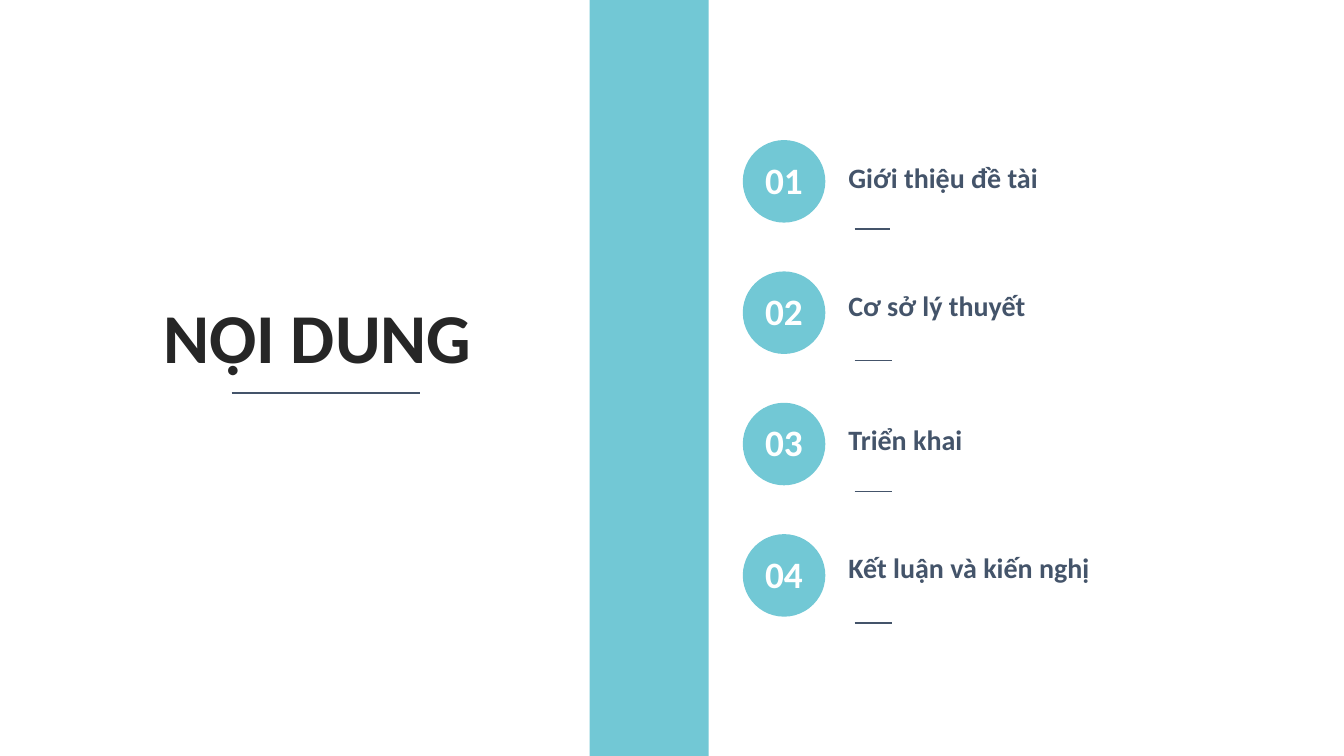
from pptx import Presentation
from pptx.dml.color import RGBColor
from pptx.enum.shapes import MSO_CONNECTOR, MSO_SHAPE
from pptx.enum.text import MSO_ANCHOR, PP_ALIGN
from pptx.oxml.ns import qn
from pptx.util import Cm, Pt
from lxml.etree import SubElement

COLORS = {"teal": "72C8D5", "slate": "44546A", "ink": "262626", "white": "FFFFFF"}
FONT = "Calibri"

# Section name, top of its label and length of its rule, in cm
SECTIONS = [
    ("Giới thiệu đề tài", 3.91, 0.89),
    ("Cơ sở lý thuyết", 7.14, 0.94),
    ("Triển khai", 10.52, 0.94),
    ("Kết luận và kiến nghị", 13.74, 0.94),
]
BADGE_LEFT, BADGE_TOP, BADGE_SIZE = 18.72, 3.53, 2.08
SECTION_PITCH = 3.31
LABEL_LEFT, LABEL_WIDTH, LABEL_HEIGHT = 21.13, 7.3, 1.8
RULE_LEFT, RULE_DROP = 21.54, 2.24


def rgb(color):
    return RGBColor.from_string(COLORS[color])


def write(shape, text, size, color, align=PP_ALIGN.LEFT, anchor=MSO_ANCHOR.TOP):
    frame = shape.text_frame
    frame.word_wrap = False
    frame.vertical_anchor = anchor
    paragraph = frame.paragraphs[0]
    paragraph.alignment = align
    paragraph.space_before = Pt(0)
    run = paragraph.add_run()
    run.text = text
    font = run.font
    font.name, font.size, font.bold = FONT, Pt(size), True
    font.color.rgb = rgb(color)


def add_rule(slide, left, top, length):
    rule = slide.shapes.add_connector(
        MSO_CONNECTOR.STRAIGHT, Cm(left), Cm(top), Cm(left + length), Cm(top))
    rule.line.color.rgb = rgb("slate")
    rule.line.width = Pt(1)
    SubElement(rule.element.spPr, qn("a:effectLst"))


def add_teal_shape(slide, preset, left, top, width, height):
    shape = slide.shapes.add_shape(preset, Cm(left), Cm(top), Cm(width), Cm(height))
    shape.shadow.inherit = False
    shape.fill.solid()
    shape.fill.fore_color.rgb = rgb("teal")
    shape.line.fill.background()
    return shape


def add_heading(slide, text):
    heading = slide.shapes.title
    heading.left, heading.top = Cm(3.86), Cm(7.26)
    heading.width, heading.height = Cm(8.28), Cm(2.39)
    heading.text_frame.margin_left = heading.text_frame.margin_right = Cm(0)
    write(heading, text, 50, "ink", PP_ALIGN.CENTER)
    add_rule(slide, 5.84, 9.9, 4.75)


def add_section(slide, index, name, label_top, rule_length):
    badge_top = BADGE_TOP + index * SECTION_PITCH
    label = slide.shapes.add_textbox(
        Cm(LABEL_LEFT), Cm(label_top), Cm(LABEL_WIDTH), Cm(LABEL_HEIGHT))
    write(label, name, 20, "slate")
    add_rule(slide, RULE_LEFT, badge_top + RULE_DROP, rule_length)
    badge = add_teal_shape(
        slide, MSO_SHAPE.OVAL, BADGE_LEFT, badge_top, BADGE_SIZE, BADGE_SIZE)
    badge.text_frame.margin_bottom = Cm(0.23)
    write(badge, f"{index + 1:02}", 26.6, "white", PP_ALIGN.CENTER, MSO_ANCHOR.MIDDLE)


def main():
    deck = Presentation()
    deck.slide_width, deck.slide_height = Cm(33.87), Cm(19.05)
    slide = deck.slides.add_slide(deck.slide_layouts[5])
    add_heading(slide, "NỘI DUNG")
    for index, section in enumerate(SECTIONS):
        add_section(slide, index, *section)
    add_teal_shape(slide, MSO_SHAPE.RECTANGLE, 14.86, 0, 3, 19.05)
    deck.save("out.pptx")


if __name__ == "__main__":
    main()
